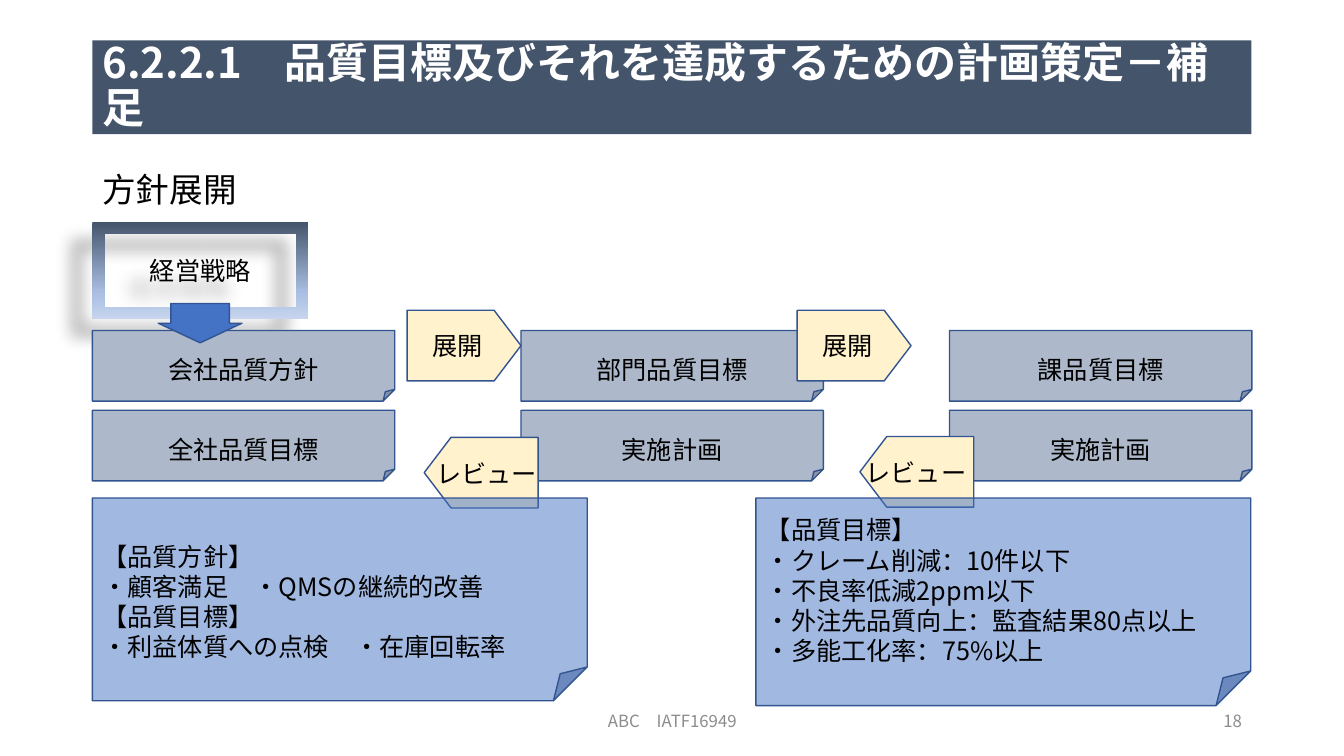
from dataclasses import dataclass

from lxml import etree
from pptx import Presentation
from pptx import util as u
from pptx.dml import color
from pptx.enum import shapes, text
from pptx.oxml import ns

FONT = "Noto Sans CJK JP"
BLACK, WHITE, GREY = "000000", "FFFFFF", "8C8C8C"
NAVY, SLATE, CREAM, BLUE, EDGE = "44546A", "ADB9CA", "FFF2CC", "4472C4", "325491"
KIND, ALIGN, ANCHOR = shapes.MSO_SHAPE, text.PP_ALIGN, text.MSO_ANCHOR

# Grid in centimetres
LEFT, WIDE = 2.33, 29.21
STEP, CARD_W, CARD_H = 10.8, 7.62, 1.78
FOOT_Y, FOOT_H = 17.65, 1.02
TAG_W, TAG_H = 2.87, 1.78
NOTE_Y, NOTE_W = 12.55, 12.47


@dataclass
class Item:
    x: float
    y: float
    w: float
    h: float
    words: str = ""
    kind: KIND | None = None
    fill: str = WHITE
    edge: str | None = EDGE
    alpha: int = 100
    adj: tuple = ()
    turn: int = 0
    size: int = 18
    ink: str = BLACK
    bold: bool = False
    align: ALIGN = ALIGN.CENTER
    anchor: ANCHOR = ANCHOR.MIDDLE
    lead: float = 1.0
    before: int = 0


def rgb(code: str) -> color.RGBColor:
    return color.RGBColor.from_string(code)


def assign(target, values: dict) -> None:
    for name, value in values.items():
        setattr(target, name, value)


def node(parent, tag: str, **values):
    return etree.SubElement(parent, ns.qn(tag), {k: str(v) for k, v in values.items()})


def write(shape, item: Item) -> None:
    frame = shape.text_frame
    assign(frame, {"word_wrap": True, "vertical_anchor": item.anchor})
    for i, line in enumerate(item.words.split("\n")):
        para = frame.add_paragraph() if i else frame.paragraphs[0]
        assign(para, {"alignment": item.align, "line_spacing": item.lead,
                      "space_before": u.Pt(item.before)})
        run = para.add_run()
        run.text = line
        assign(run.font, {"name": FONT, "size": u.Pt(item.size), "bold": item.bold})
        run.font.color.rgb = rgb(item.ink)
        node(run.font._element, "a:ea", typeface=FONT)


def draw(slide, item: Item):
    box = [u.Cm(v) for v in (item.x, item.y, item.w, item.h)]
    if item.kind is None:
        shape = slide.shapes.add_textbox(*box)
    else:
        shape = slide.shapes.add_shape(item.kind, *box)
        shape.shadow.inherit = False
        shape.rotation = item.turn
        for i, value in enumerate(item.adj):
            shape.adjustments[i] = value
        shape.fill.solid()
        shape.fill.fore_color.rgb = rgb(item.fill)
        if item.alpha < 100:
            tint = shape._element.spPr.find(".//" + ns.qn("a:srgbClr"))
            node(tint, "a:alpha", val=item.alpha * 1000)
        if item.edge:
            shape.line.color.rgb = rgb(item.edge)
            shape.line.width = u.Pt(1)
        else:
            shape.line.fill.background()
    if item.words:
        write(shape, item)
    return shape


def shade(shape, stops: list[tuple[int, str]]) -> None:
    """Vertical gradient and a soft shadow to the lower left."""
    props = shape._element.spPr
    grad = etree.Element(ns.qn("a:gradFill"), rotWithShape="1")
    stop_list = node(grad, "a:gsLst")
    for place, code in stops:
        node(node(stop_list, "a:gs", pos=place * 1000), "a:srgbClr", val=code)
    node(grad, "a:lin", ang=90 * 60000, scaled=0)
    props.replace(props.find(ns.qn("a:solidFill")), grad)
    cast = node(props.find(ns.qn("a:effectLst")), "a:outerShdw", blurRad=u.Pt(11.8),
                dist=u.Pt(19.7), dir=141 * 60000, algn="ctr", rotWithShape=0)
    node(node(cast, "a:srgbClr", val=BLACK), "a:alpha", val=28000)


def card(col: int, y: float, words: str) -> Item:
    return Item(LEFT + col * STEP, y, CARD_W, CARD_H, words, KIND.FOLDED_CORNER,
                SLATE, anchor=ANCHOR.BOTTOM)


def tag(x: float, y: float, words: str = "", turn: int = 0) -> Item:
    return Item(x, y, TAG_W, TAG_H, words, KIND.PENTAGON, CREAM, adj=(0.38,), turn=turn)


def note(x: float, h: float, words: str) -> Item:
    return Item(x, NOTE_Y, NOTE_W, h, words, KIND.FOLDED_CORNER, BLUE, alpha=50,
                align=ALIGN.LEFT, anchor=ANCHOR.BOTTOM)


deck = Presentation()
assign(deck, {"slide_width": u.Cm(33.87), "slide_height": u.Cm(19.05)})
slide = deck.slides.add_slide(deck.slide_layouts[6])

# Footer, subtitle and title
heads = [
    Item(11.23, FOOT_Y, 11.43, FOOT_H, "ABC\u3000IATF16949", size=12, ink=GREY),
    Item(23.93, FOOT_Y, 7.62, FOOT_H, "18", size=12, ink=GREY, align=ALIGN.RIGHT),
    Item(LEFT, 4.24, WIDE, 1.42, "方針展開", size=24, align=ALIGN.LEFT,
         anchor=ANCHOR.TOP, lead=0.9, before=10),
    Item(LEFT, 1.02, WIDE, 2.36, "6.2.2.1\u3000品質目標及びそれを達成するための計画策定－補足",
         KIND.RECTANGLE, NAVY, None, size=30, ink=WHITE, bold=True,
         align=ALIGN.LEFT, lead=0.9),
]
for item in heads:
    draw(slide, item)

# Strategy frame
plan = draw(slide, Item(LEFT, 5.59, 5.44, 2.46, "経営戦略", KIND.FRAME, edge=None))
shade(plan, [(0, "F6F8FC"), (0, NAVY), (74, "ABC0E4"), (100, "C7D5ED")])

# Policy and goal cards, one column per level
levels = [("会社品質方針", "全社品質目標"), ("部門品質目標", "実施計画"), ("課品質目標", "実施計画")]
for col, pair in enumerate(levels):
    for y, words in zip((8.33, 10.34), pair):
        draw(slide, card(col, y, words))

# Deployment tags point right, review tags point left
for x in (10.26, 20.09):
    draw(slide, tag(x, 7.82, "展開"))
for x, y, shift in ((10.69, 11.02, 0), (21.67, 11.0, -0.16)):
    draw(slide, tag(x, y, turn=180))
    draw(slide, Item(x + shift, y + 0.3, 3.15, 1.22, "レビュー"))

# Notes and the arrow from strategy to policy
draw(slide, note(LEFT, 5.11, "【品質方針】\n・顧客満足\u3000・QMSの継続的改善\n"
                             "【品質目標】\n・利益体質への点検\u3000・在庫回転率"))
draw(slide, Item(3.99, 7.65, 2.11, 0.99, kind=KIND.DOWN_ARROW, fill=BLUE, adj=(0.7, 0.5)))
draw(slide, note(19.05, 5.23, "【品質目標】\n・クレーム削減：10件以下\n・不良率低減2ppm以下\n"
                              "・外注先品質向上：監査結果80点以上\n・多能工化率：75%以上"))

deck.save("out.pptx")
